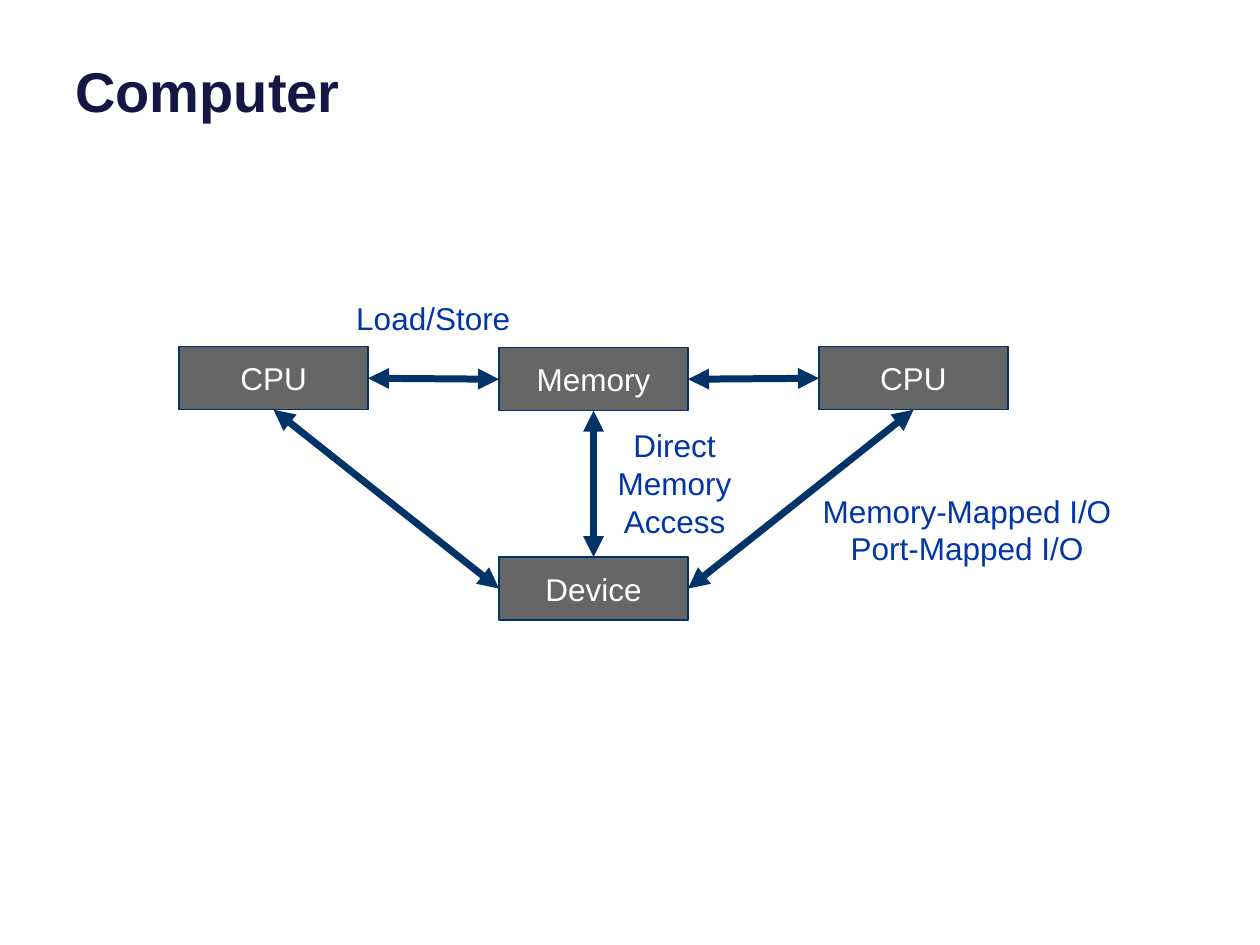
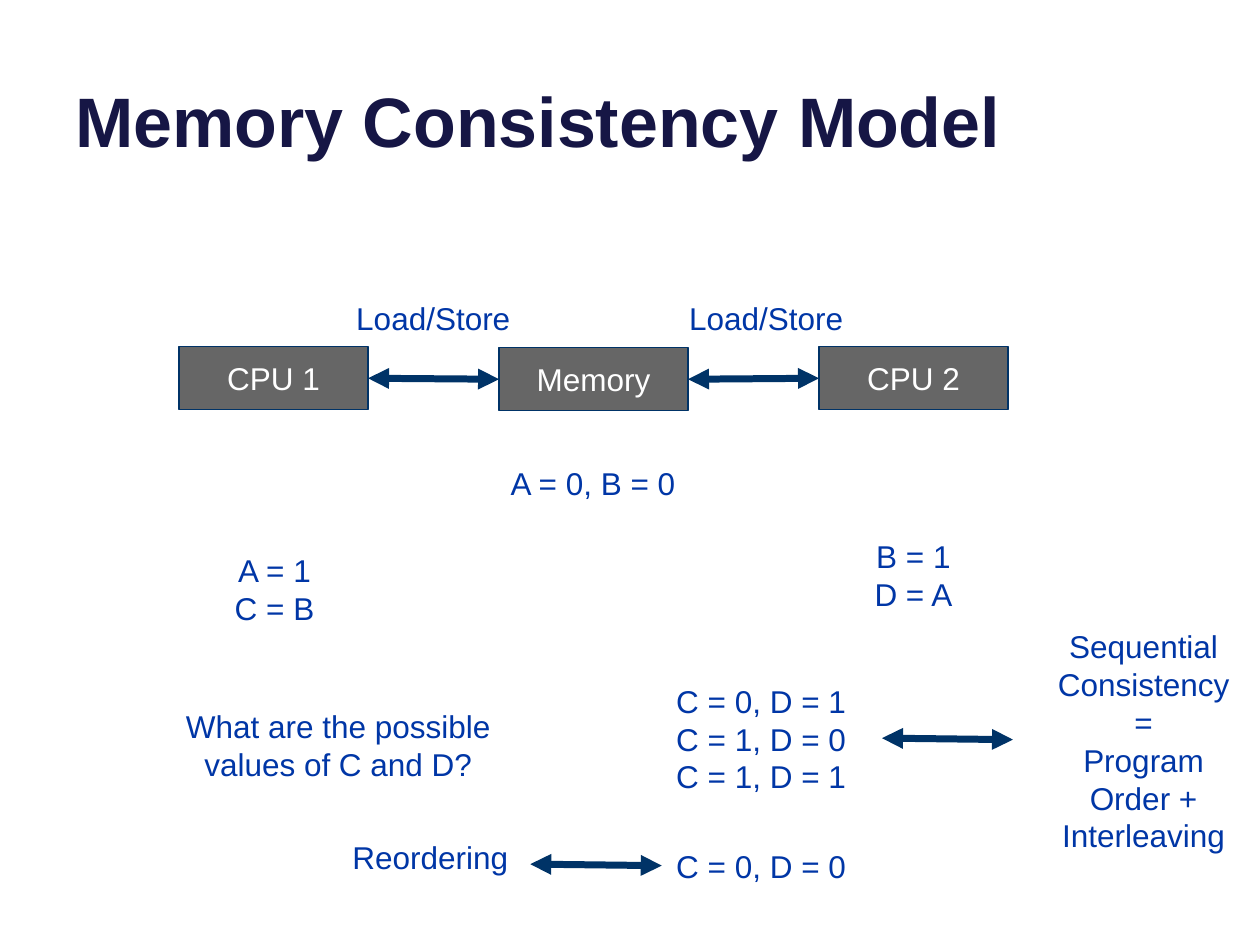
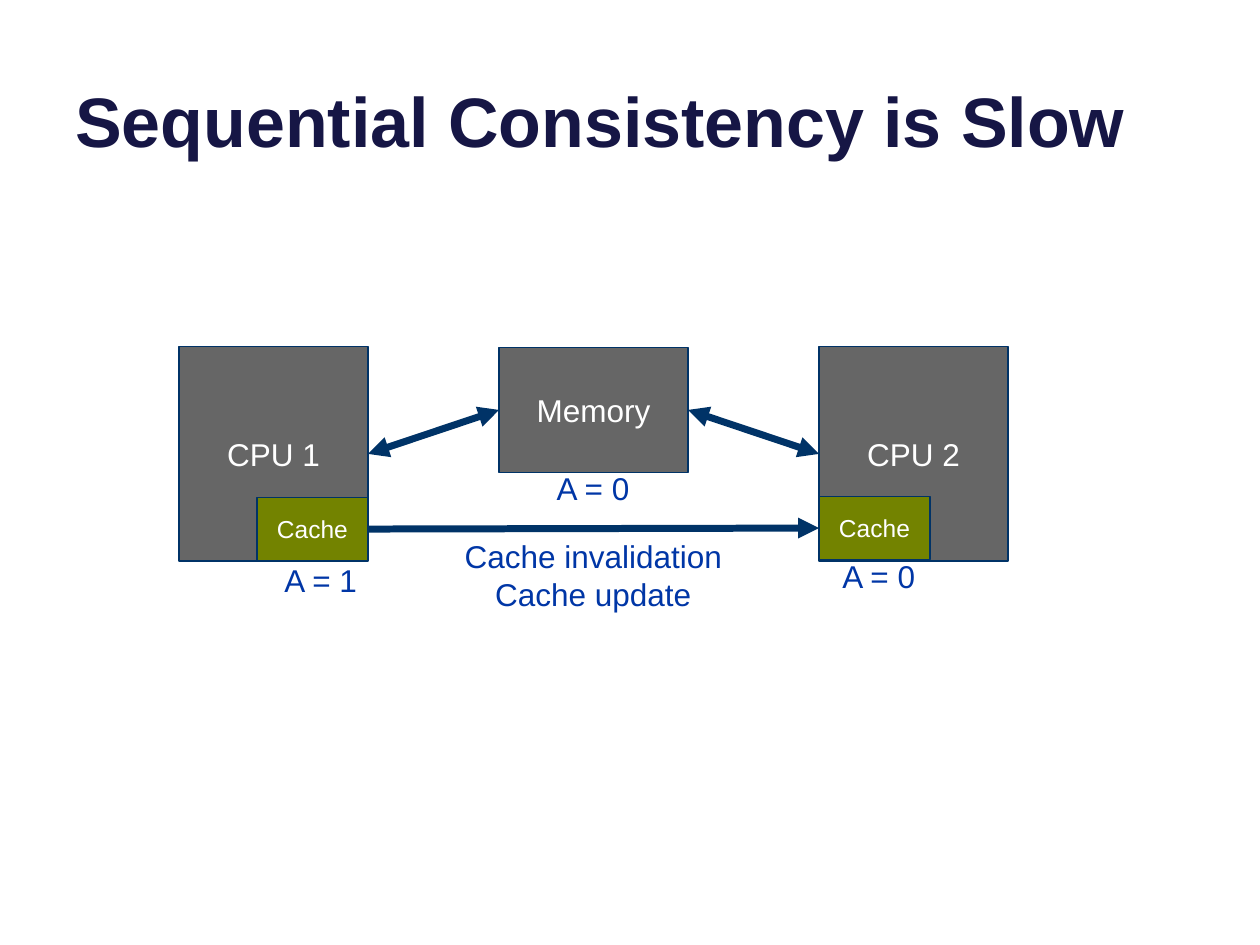
from lxml.etree import SubElement
from pptx import Presentation
from pptx.dml.color import RGBColor
from pptx.enum.shapes import MSO_CONNECTOR as Link, MSO_SHAPE as Shape
from pptx.enum.text import MSO_ANCHOR as Anchor, MSO_AUTO_SIZE as Fit, PP_ALIGN as Align
from pptx.oxml.ns import qn
from pptx.util import Cm, Pt

TOP, LEFT, BOTTOM, RIGHT = range(4)
LOAD = "Load/Store"


def color(code):
    return RGBColor.from_string(code)


class Deck:
    font = "Arial"
    navy, blue, ink = "161645", "0036A6", "003367"
    gray, green, white = "666666", "738300", "FFFFFF"
    wide, high = 3.81, 1.27

    def __init__(self):
        self.show = Presentation()
        self.show.slide_width, self.show.slide_height = Cm(25.4), Cm(19.05)

    def page(self, title, size=40, top=-0.94):
        self.slide = self.show.slides.add_slide(self.show.slide_layouts[6])
        box = self.slide.shapes.add_textbox(Cm(1.27), Cm(top), Cm(22.86), Cm(4.32))
        self.letter(box, [title], size, self.navy, Anchor.BOTTOM, Align.LEFT, True)

    def letter(self, shape, lines, size, tint, anchor=Anchor.MIDDLE, align=Align.CENTER, bold=False):
        frame = shape.text_frame
        frame.word_wrap = True
        frame.vertical_anchor = anchor
        for row, line in enumerate(lines):
            para = frame.add_paragraph() if row else frame.paragraphs[0]
            para.alignment = align
            run = para.add_run()
            run.text = line
            run.font.name, run.font.size, run.font.bold = self.font, Pt(size), bold
            run.font.color.rgb = color(tint)

    def block(self, text, left, top, wide=wide, high=high, fill=gray, size=18):
        box = self.slide.shapes.add_shape(Shape.RECTANGLE, Cm(left), Cm(top), Cm(wide), Cm(high))
        box.shadow.inherit = False
        box.fill.solid()
        box.fill.fore_color.rgb = color(fill)
        box.line.color.rgb = color(self.ink)
        box.line.width = Pt(0.75)
        self.letter(box, [text], size, self.white)
        return box

    def cache(self, left, top):
        return self.block("Cache", left, top, 2.24, fill=self.green, size=14)

    def label(self, left, top, wide, *lines, rows=None):
        high = 0.25 + 0.77 * (rows or len(lines))
        box = self.slide.shapes.add_textbox(Cm(left), Cm(top), Cm(wide), Cm(high))
        self.letter(box, lines, 18, self.blue)
        box.text_frame.auto_size = Fit.SHAPE_TO_FIT_TEXT

    def arrow(self, x1=0, y1=0, x2=0, y2=0, both=True):
        line = self.slide.shapes.add_connector(Link.STRAIGHT, Cm(x1), Cm(y1), Cm(x2), Cm(y2))
        line.line.color.rgb = color(self.ink)
        line.line.width = Pt(4)
        props = line._element.spPr
        for end in ("a:headEnd", "a:tailEnd") if both else ("a:tailEnd",):
            SubElement(props.get_or_add_ln(), qn(end), type="triangle")
        SubElement(props, qn("a:effectLst"))
        return line

    def join(self, start, out, end, into, both=True):
        line = self.arrow(both=both)
        line.begin_connect(start, out)
        line.end_connect(end, into)

    def system(self, first, second, high=high, core=high):
        left = self.block(first, 3.61, 6.99, high=high)
        right = self.block(second, 16.51, 6.99, high=high)
        memory = self.block("Memory", 10.06, 7.01, high=core)
        self.join(left, RIGHT, memory, LEFT)
        self.join(memory, RIGHT, right, LEFT)
        return left, memory, right


def computer(deck):
    deck.page("Computer", 32, -1.7)
    left, memory, right = deck.system("CPU", "CPU")
    device = deck.block("Device", 10.06, 11.23)
    deck.join(left, BOTTOM, device, LEFT)
    deck.join(memory, BOTTOM, device, TOP)
    deck.join(right, BOTTOM, device, RIGHT)
    deck.label(16.13, 9.78, 6.73, "Memory-Mapped I/O", "Port-Mapped I/O")
    deck.label(11.86, 8.46, 3.48, "Direct Memory Access", rows=3)
    deck.label(6.83, 5.89, 3.81, LOAD)


def model(deck):
    deck.page("Memory Consistency Model")
    deck.system("CPU 1", "CPU 2")
    for left in (6.83, 13.54):
        deck.label(left, 5.89, 3.81, LOAD)
    deck.label(3.63, 10.97, 3.81, "A = 1", "C = B")
    deck.label(9.68, 9.22, 4.55, "A = 0, B = 0")
    deck.label(16.51, 10.69, 3.81, "B = 1", "D = A")
    deck.label(2.69, 14.12, 8.26, "What are the possible values of C and D?", rows=2)
    deck.label(12.07, 13.61, 6.55, "C = 0, D = 1", "C = 1, D = 0", "C = 1, D = 1")
    deck.label(12.07, 16.94, 6.55, "C = 0, D = 0")
    deck.arrow(17.78, 14.88, 20.42, 14.91)
    deck.label(20.96, 12.5, 4.19, "Sequential", "Consistency =",
               "Program Order + Interleaving", rows=6)
    deck.arrow(10.69, 17.42, 13.34, 17.45)
    deck.label(6.58, 16.76, 4.19, "Reordering")


def slow(deck):
    deck.page("Sequential Consistency is Slow")
    deck.system("CPU 1", "CPU 2", 4.32, 2.51)
    near, far = deck.cache(5.18, 10.03), deck.cache(16.51, 10.01)
    deck.join(near, RIGHT, far, LEFT, both=False)
    deck.label(8.38, 10.69, 7.16, "Cache invalidation", "Cache update")
    for left, top, text in ((9.68, 9.32, "A = 0"), (15.44, 11.1, "A = 0"), (4.19, 11.18, "A = 1")):
        deck.label(left, top, 4.55, text)


def main():
    deck = Deck()
    for build in (computer, model, slow):
        build(deck)
    deck.show.save("out.pptx")


if __name__ == "__main__":
    main()
